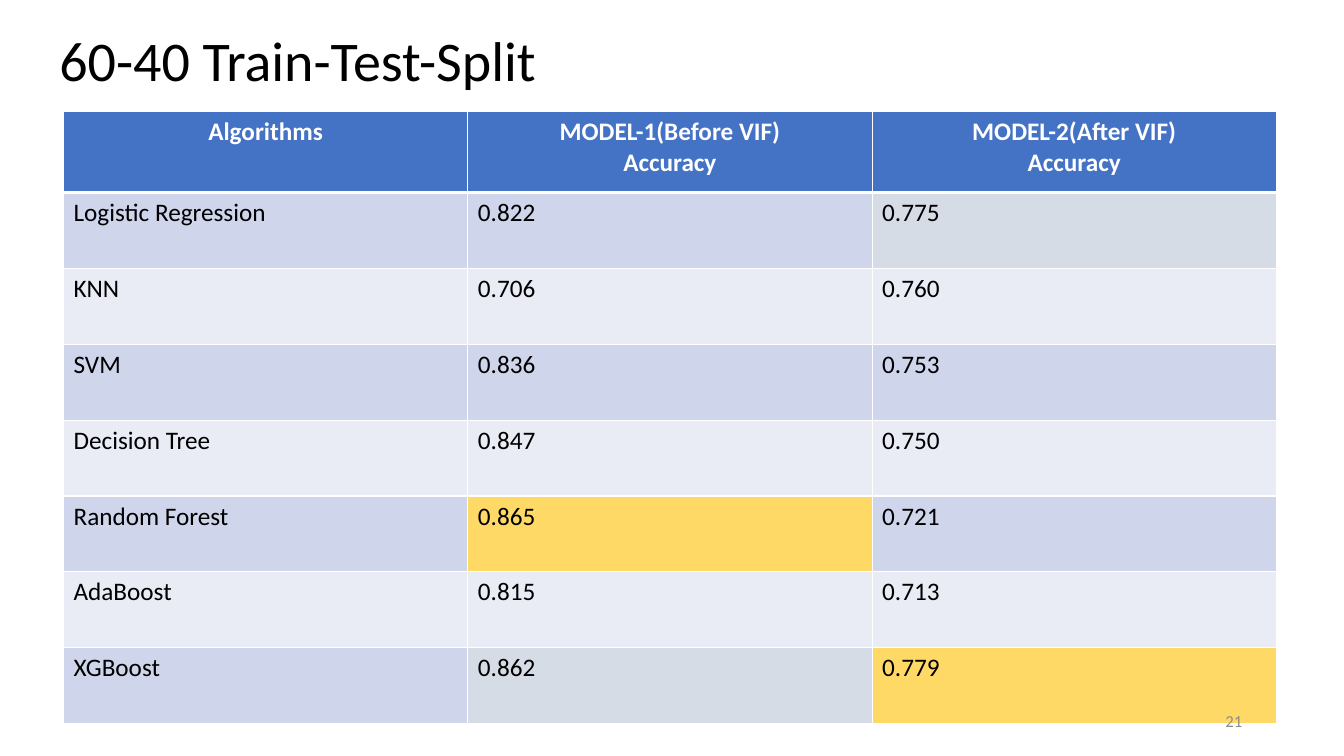
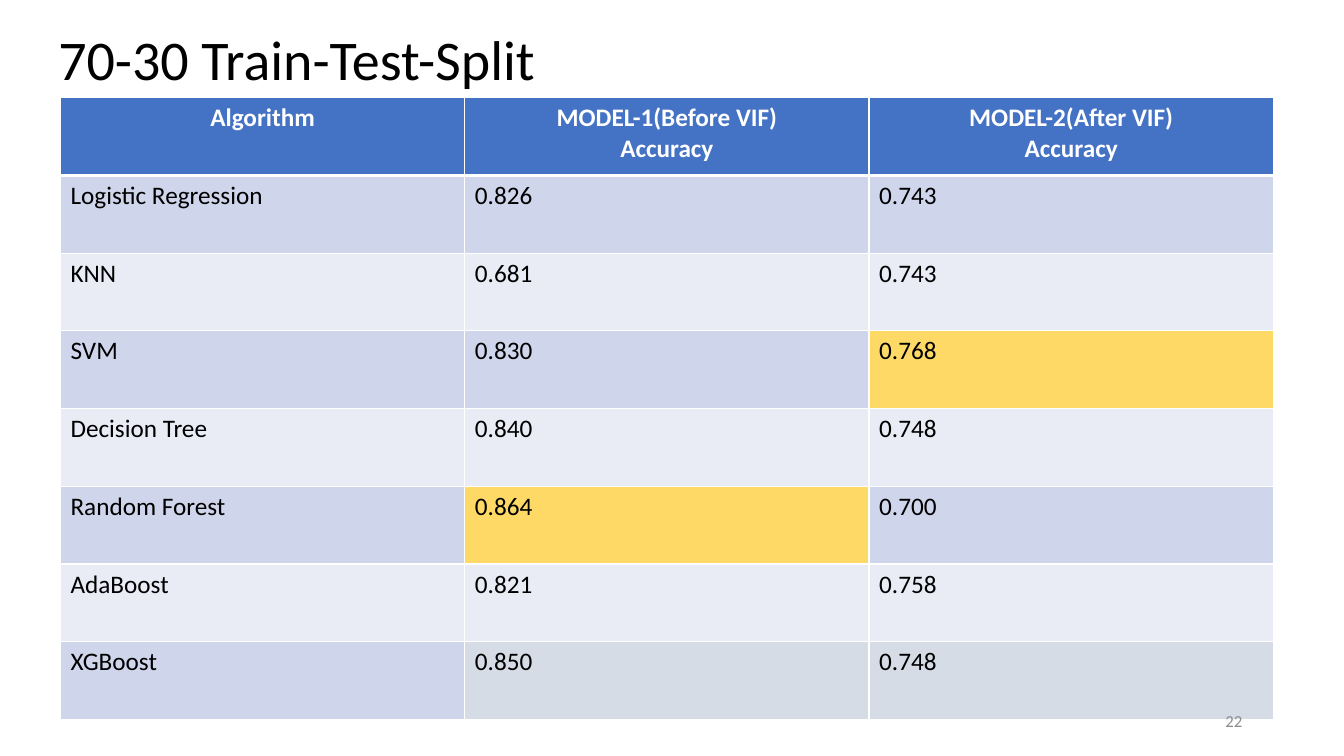
from pptx import Presentation
from pptx.dml.color import RGBColor
from pptx.enum.text import MSO_ANCHOR, MSO_AUTO_SIZE, PP_ALIGN
from pptx.oxml.ns import qn
from pptx.util import Emu, Pt
from lxml.etree import SubElement

PX = 9144  # EMU per px, 100 px to the inch
FONT = "Calibri"
BLACK = RGBColor(0x00, 0x00, 0x00)
WHITE = RGBColor(0xFF, 0xFF, 0xFF)
GREY = RGBColor(0x8C, 0x8C, 0x8C)
HEADER = RGBColor(0x44, 0x72, 0xC4)
BANDS = (RGBColor(0xCF, 0xD5, 0xEA), RGBColor(0xE9, 0xEB, 0xF5))
BEST = RGBColor(0xFF, 0xD9, 0x66)
NOTABLE = RGBColor(0xD6, 0xDC, 0xE5)

TITLE = {"size": Pt(40), "color": BLACK}
HEAD = {"size": Pt(18), "color": WHITE, "bold": True}
BODY = {"size": Pt(18), "color": BLACK, "bold": False}
NUMBER = {"size": Pt(12), "color": GREY}

ALGORITHMS = ("Logistic Regression", "KNN", "SVM", "Decision Tree",
              "Random Forest", "AdaBoost", "XGBoost")
MODELS = ("MODEL-1(Before VIF)\nAccuracy", "MODEL-2(After VIF)\nAccuracy")

# "notable" holds (row, column) positions in the table
SPLITS = (
    {"title": "60-40 Train-Test-Split", "title_box": (49, 20, 855, 77),
     "first_head": "Algorithms", "table_box": (63, 111, 1203, 607),
     "head_height": 80, "number": 21, "notable": {(1, 2), (7, 1)},
     "scores": (("0.822", "0.706", "0.836", "0.847", "0.865", "0.815", "0.862"),
                ("0.775", "0.760", "0.753", "0.750", "0.721", "0.713", "0.779"))},
    {"title": "70-30 Train-Test-Split", "title_box": (48, 19, 749, 77),
     "first_head": "Algorithm", "table_box": (60, 97, 1203, 617),
     "head_height": 77, "number": 22, "notable": {(7, 1), (7, 2)},
     "scores": (("0.826", "0.681", "0.830", "0.840", "0.864", "0.821", "0.850"),
                ("0.743", "0.743", "0.768", "0.748", "0.700", "0.758", "0.748"))},
)


def emu(box):
    return [Emu(v * PX) for v in box]


def write(tf, text, style, align=PP_ALIGN.LEFT):
    tf.text = text
    for p in tf.paragraphs:
        p.alignment = align
        for r in p.runs:
            r.font.name = FONT
            for name, value in style.items():
                if name == "color":
                    r.font.color.rgb = value
                else:
                    setattr(r.font, name, value)


def add_text(slide, box, text, style, align=PP_ALIGN.LEFT,
             anchor=MSO_ANCHOR.TOP, fit=MSO_AUTO_SIZE.NONE):
    tf = slide.shapes.add_textbox(*emu(box)).text_frame
    tf.word_wrap = True
    tf.auto_size = fit
    tf.vertical_anchor = anchor
    write(tf, text, style, align)


def set_borders(cell, widths):
    """Draw white borders; widths are points for left, right, top, bottom."""
    tcPr = cell._tc.get_or_add_tcPr()
    for side, width in zip("LRTB", widths):
        ln = SubElement(tcPr, qn(f"a:ln{side}"), w=str(Pt(width)))
        fill = SubElement(ln, qn("a:solidFill"))
        SubElement(fill, qn("a:srgbClr"), val=str(WHITE))


def cell_fill(split, row, col):
    if row == 0:
        return HEADER
    if col > 0:
        scores = split["scores"][col - 1]
        if scores[row - 1] == max(scores):
            return BEST
    if (row, col) in split["notable"]:
        return NOTABLE
    return BANDS[(row - 1) % 2]


def add_score_table(slide, split):
    rows = [(split["first_head"], *MODELS), *zip(ALGORITHMS, *split["scores"])]
    box = emu(split["table_box"])
    table = slide.shapes.add_table(len(rows), len(rows[0]), *box).table
    table.horz_banding = False
    head_height = split["head_height"] * PX
    body_height = (box[3] - head_height) // len(ALGORITHMS)

    for i, values in enumerate(rows):
        head = i == 0
        table.rows[i].height = Emu(head_height if head else body_height)
        for j, text in enumerate(values):
            cell = table.cell(i, j)
            write(cell.text_frame, text, HEAD if head else BODY,
                  PP_ALIGN.CENTER if head else PP_ALIGN.LEFT)
            set_borders(cell, (1, 1, 3 if i == 1 else 1, 3 if head else 1))
            cell.fill.solid()
            cell.fill.fore_color.rgb = cell_fill(split, i, j)


def add_split_slide(prs, split):
    slide = prs.slides.add_slide(prs.slide_layouts[6])
    add_text(slide, split["title_box"], split["title"], TITLE,
             fit=MSO_AUTO_SIZE.SHAPE_TO_FIT_TEXT)
    add_score_table(slide, split)
    add_text(slide, (942, 695, 300, 40), str(split["number"]), NUMBER,
             PP_ALIGN.RIGHT, MSO_ANCHOR.MIDDLE)


def main():
    prs = Presentation()
    prs.slide_width, prs.slide_height = emu((1333, 750))
    for split in SPLITS:
        add_split_slide(prs, split)
    prs.save("out.pptx")


if __name__ == "__main__":
    main()
